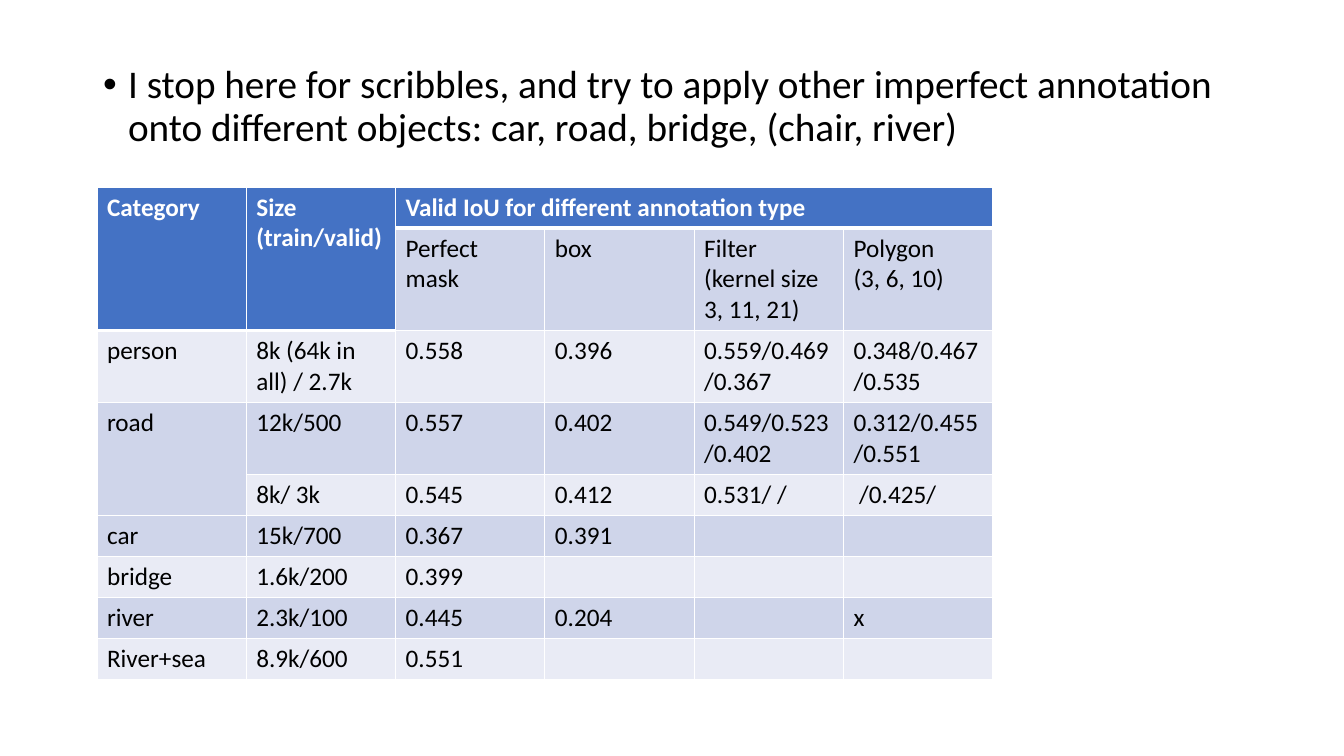
from lxml.etree import SubElement
from pptx import Presentation
from pptx.dml.color import RGBColor
from pptx.enum.text import MSO_ANCHOR, MSO_AUTO_SIZE
from pptx.oxml.ns import qn
from pptx.util import Emu, Pt

EMU_PER_PX = 914400 / 100.8
FONT = "Calibri"
WHITE, BLACK = "FFFFFF", "000000"
HEADER, DARK_BAND, LIGHT_BAND = "4472C4", "CFD5EA", "E9EBF5"

STATEMENT = (
    "I stop here for scribbles, and try to apply other imperfect annotation "
    "onto different objects: car, road, bridge, (chair, river)"
)
RESULTS = [
    ["Category", "Size (train/valid)", "Valid IoU for different annotation type", "", "", ""],
    ["", "", "Perfect mask", "box", "Filter\n(kernel size 3, 11, 21)", "Polygon\n(3, 6, 10)"],
    ["person", "8k (64k in all) / 2.7k", "0.558", "0.396", "0.559/0.469/0.367", "0.348/0.467/0.535"],
    ["road", "12k/500", "0.557", "0.402", "0.549/0.523/0.402", "0.312/0.455/0.551"],
    ["", "8k/ 3k", "0.545", "0.412", "0.531/ /", " /0.425/"],
    ["car", "15k/700", "0.367", "0.391", "", ""],
    ["bridge", "1.6k/200", "0.399", "", "", ""],
    ["river", "2.3k/100", "0.445", "0.204", "", "x"],
    ["River+sea", "8.9k/600", "0.551", "", "", ""],
]
ROW_HEIGHTS = [41, 102, 72, 72, 41, 41, 41, 41, 41]
MERGES = [((0, 0), (1, 0)), ((0, 1), (1, 1)), ((0, 2), (0, 5)), ((3, 0), (4, 0))]


def px(length):
    return Emu(round(length * EMU_PER_PX))


def color(value):
    return RGBColor.from_string(value)


def write(frame, text, size=18, fill=BLACK, bold=False, bullet=False):
    for index, line in enumerate(text.split("\n")):
        paragraph = frame.paragraphs[0] if index == 0 else frame.add_paragraph()
        if bullet:
            properties = paragraph._p.get_or_add_pPr()
            properties.set("marL", str(px(25)))
            properties.set("indent", str(-px(25)))
            SubElement(properties, qn("a:buFont")).set("typeface", "Arial")
            SubElement(properties, qn("a:buChar")).set("char", "•")
            paragraph.line_spacing = 0.9
            paragraph.space_before = Pt(0)
        paragraph.font.size = Pt(size)
        paragraph.font.name = FONT
        paragraph.font.bold = bold
        paragraph.font.color.rgb = color(fill)
        if line:
            run = paragraph.add_run()
            run.text = line
            run.font.size = Pt(size)
            run.font.name = FONT
            run.font.bold = bold
            run.font.color.rgb = color(fill)


def set_borders(cell, **widths):
    properties = cell._tc.get_or_add_tcPr()
    for side in "LRTB":
        border = SubElement(properties, qn(f"a:ln{side}"))
        border.set("w", str(Pt(widths.get(side, 1))))
        fill = SubElement(border, qn("a:solidFill"))
        SubElement(fill, qn("a:srgbClr")).set("val", WHITE)


def is_header(row, column):
    return row == 0 or (row == 1 and column < 2)


def add_statement(slide, left, top, width, height):
    title, body = slide.placeholders
    title._element.getparent().remove(title._element)
    body.left, body.top = px(left), px(top)
    body.width, body.height = px(width), px(height)
    frame = body.text_frame
    frame.word_wrap = True
    frame.auto_size = MSO_AUTO_SIZE.NONE
    frame.vertical_anchor = MSO_ANCHOR.TOP
    write(frame, STATEMENT, size=28, bullet=True)


def add_results(slide, left, top, width):
    columns = len(RESULTS[0])
    shape = slide.shapes.add_table(
        len(RESULTS), columns, px(left), px(top), px(width), px(sum(ROW_HEIGHTS))
    )
    table = shape.table
    for column in table.columns:
        column.width = px(width / columns)
    for row, height in zip(table.rows, ROW_HEIGHTS):
        row.height = px(height)
    for first, last in MERGES:
        table.cell(*first).merge(table.cell(*last))
    for row, texts in enumerate(RESULTS):
        for column, text in enumerate(texts):
            cell = table.cell(row, column)
            header = is_header(row, column)
            below_header = row > 0 and not header and is_header(row - 1, column)
            set_borders(cell, T=3 if below_header else 1, B=3 if header else 1)
            band = DARK_BAND if row % 2 else LIGHT_BAND
            cell.fill.solid()
            cell.fill.fore_color.rgb = color(HEADER if header else band)
            write(cell.text_frame, text, fill=WHITE if header else BLACK, bold=header)


def main():
    presentation = Presentation()
    presentation.slide_width, presentation.slide_height = px(1344), px(756)
    slide = presentation.slides.add_slide(presentation.slide_layouts[1])
    add_statement(slide, 93, 60, 1159, 621)
    add_results(slide, 97, 187, 896)
    presentation.save("out.pptx")


if __name__ == "__main__":
    main()
